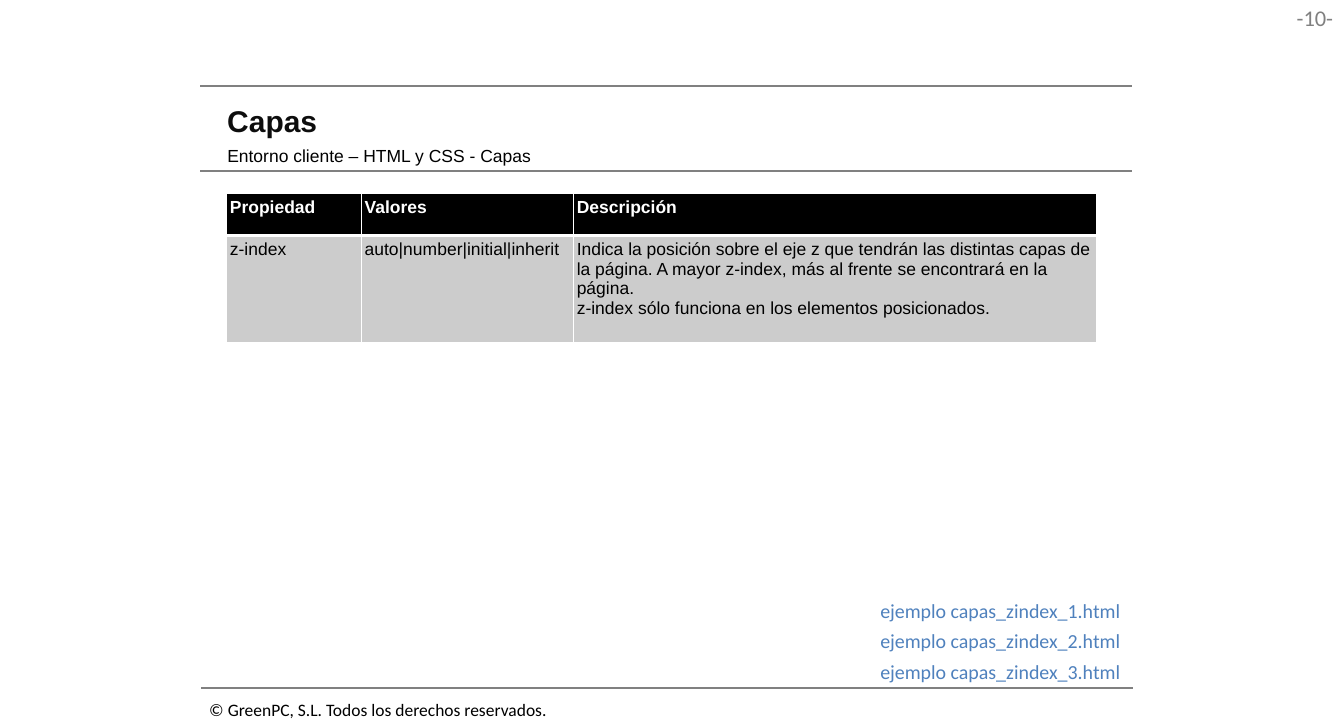
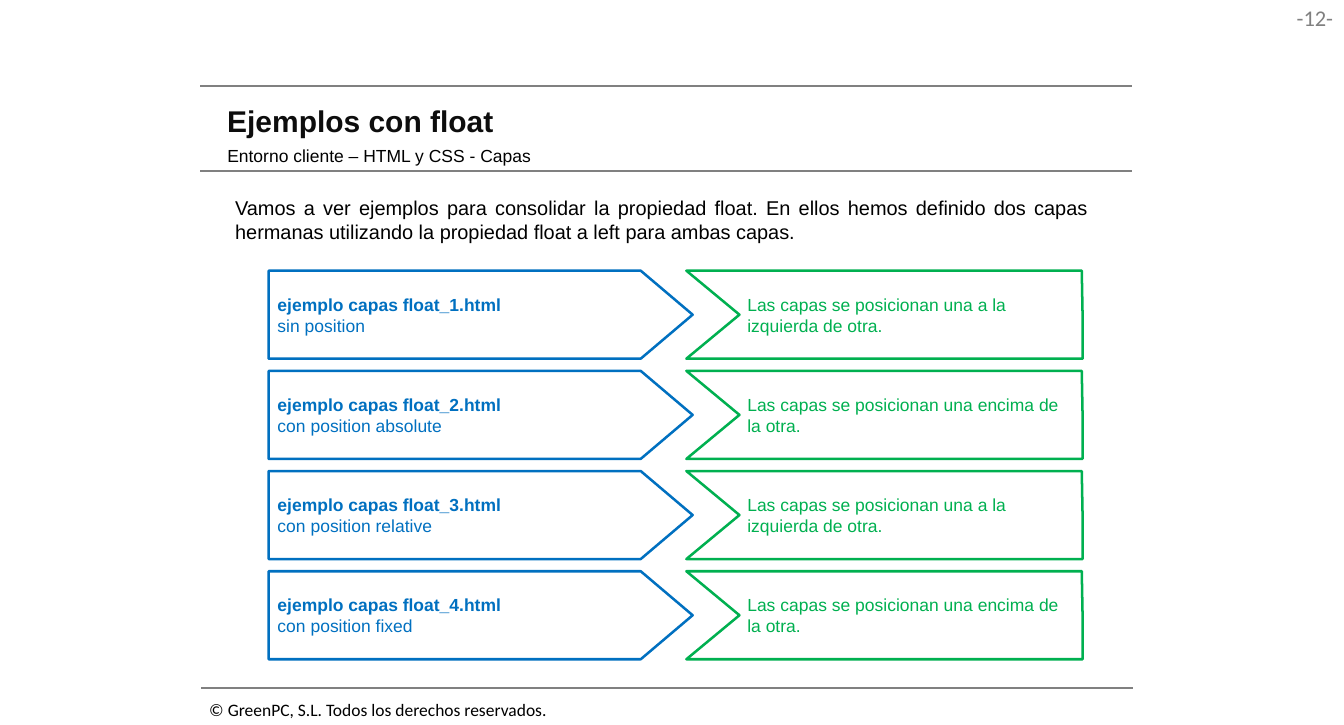
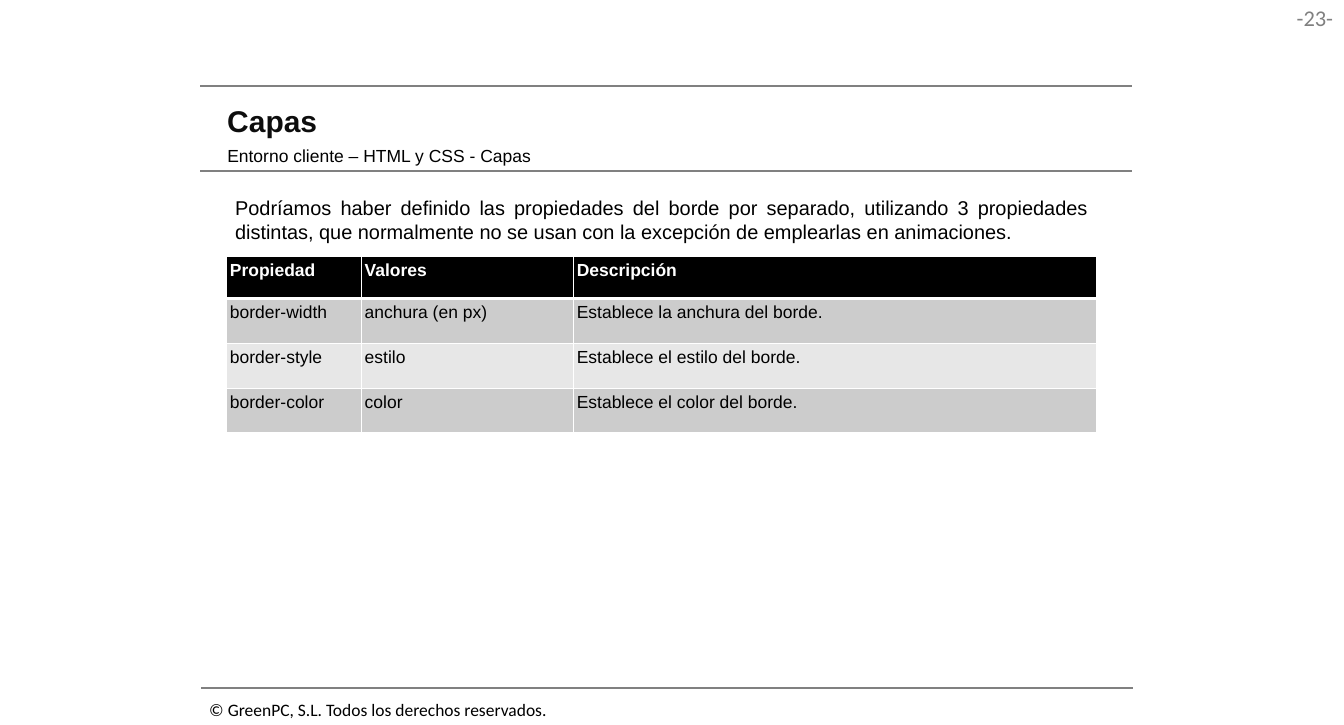
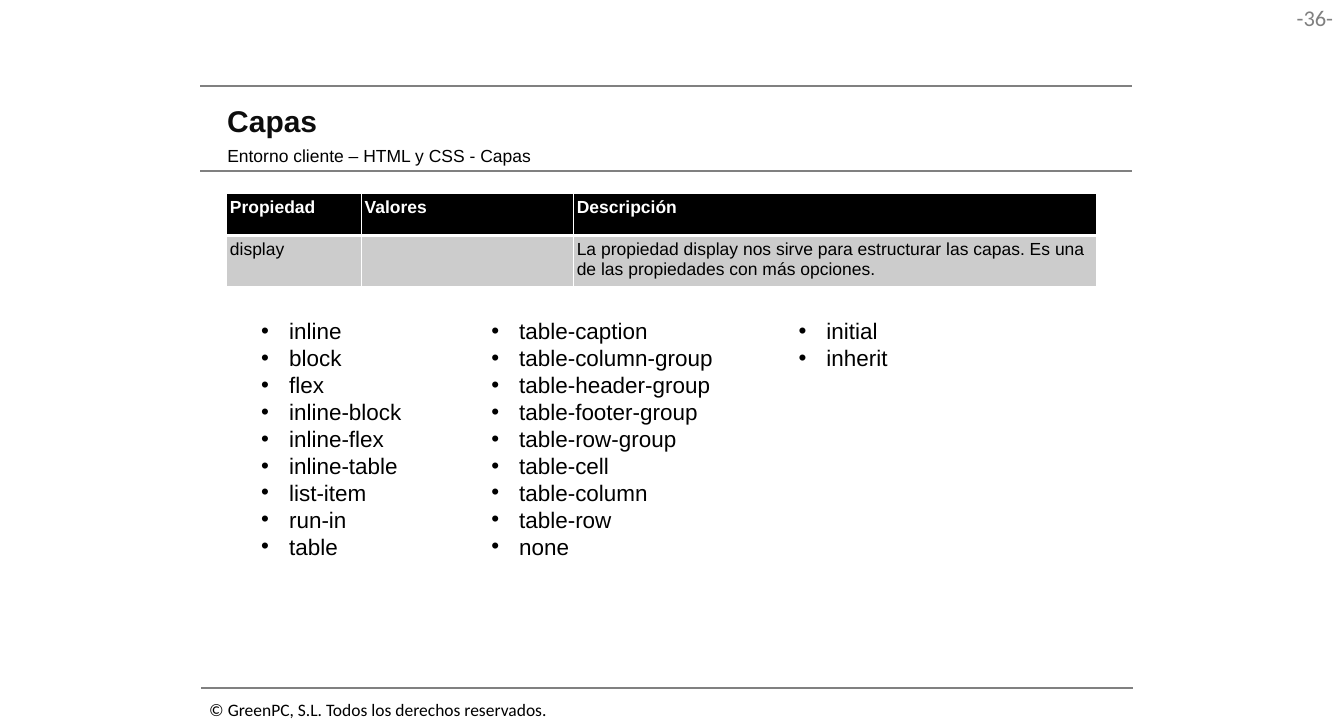
from lxml.etree import SubElement
from pptx import Presentation
from pptx.dml.color import RGBColor
from pptx.enum.shapes import MSO_CONNECTOR, MSO_SHAPE
from pptx.enum.text import MSO_ANCHOR, MSO_AUTO_SIZE, PP_ALIGN
from pptx.oxml import parse_xml
from pptx.oxml.ns import nsdecls, qn
from pptx.util import Emu, Inches, Pt

WIDTH, HEIGHT = Inches(14.96), Inches(8.07)
BLACK, WHITE, GRAY = "000000", "FFFFFF", "808080"
BLUE, GREEN, LINK_BLUE = "0070C0", "00B050", "4F81BD"
BAND_FILLS = ("CCCCCC", "E7E7E7")

CONTENT_LEFT, CONTENT_WIDTH = 16.84, 64.77
TABLE_COLUMNS = (10.03, 15.78, 38.97)
HEADINGS = ("Propiedad", "Valores", "Descripción")
SUBTITLE = "Entorno cliente – HTML y CSS - Capas"
COPYRIGHT = "© GreenPC, S.L. Todos los derechos reservados."

FORMATS = {
    "title": {"name": "Arial", "size": Pt(24), "bold": True},
    "intro": {"name": "Arial", "size": Pt(16)},
    "list": {"name": "Arial", "size": Pt(18)},
    "small": {"name": "Arial", "size": Pt(14), "bold": False},
    "strong": {"name": "Arial", "size": Pt(14), "bold": True},
    "number": {"name": "Calibri", "size": Pt(18)},
    "link": {"name": "Calibri", "size": Pt(16)},
    "footer": {"name": "Calibri", "size": Pt(14)},
}
HEADER_INSETS = (0.13, 0.07)
CELL_INSETS = (0.04, 0.05)


def color(value):
    return RGBColor.from_string(value)


def across(columns):
    """Length of columns on a grid of 100 across the slide."""
    return Emu(round(WIDTH * columns / 100))


def down(rows):
    """Length of rows on a grid of 100 down the slide."""
    return Emu(round(HEIGHT * rows / 100))


def place(left, top, width, height):
    return across(left), down(top), across(width), down(height)


class Deck:
    """Holds the presentation, its style and the current page."""

    def __init__(self):
        self.deck = Presentation()
        self.deck.slide_width, self.deck.slide_height = WIDTH, HEIGHT
        self.page = None

    def start(self, number, title):
        """Add a page with its rules, header and footer."""
        self.page = self.deck.slides.add_slide(self.deck.slide_layouts[6])
        for left, top in ((14.91, 11.9), (14.91, 23.54), (14.97, 94.92)):
            self.rule(left, top, 69.32)
        self.text((94.45, 0, 5.48, 5.08), [f"-{number}-"], "number", GRAY,
                  align=PP_ALIGN.RIGHT, insets=(0.11, 0.05), wrap=False)
        self.text((14.91, 95.79, 26.67, 4.21), [COPYRIGHT], "footer", wrap=False)
        self.text((16.04, 13.26, 67.65, 6.69), [title], "title", "0D0D0D",
                  insets=HEADER_INSETS, anchor=MSO_ANCHOR.MIDDLE)
        self.text((16.04, 19.21, 50.8, 4.58), [SUBTITLE], "small",
                  insets=HEADER_INSETS, anchor=MSO_ANCHOR.MIDDLE)

    def rule(self, left, top, width):
        line = self.page.shapes.add_connector(
            MSO_CONNECTOR.STRAIGHT, across(left), down(top), across(left + width), down(top))
        line.line.color.rgb = color(GRAY)
        line.line.width = Pt(1.5)
        SubElement(line._element.spPr, qn("a:effectLst"))

    def span(self, para, text, style, ink):
        span = para.add_run()
        span.text = text
        for name, value in FORMATS[style].items():
            setattr(span.font, name, value)
        span.font.color.rgb = color(ink)

    def fill_text(self, frame, lines, style, ink=BLACK, align=PP_ALIGN.LEFT,
                  indent=0, bullet=False):
        """Fill a frame; a line is a string or a (string, style) pair."""
        for index, line in enumerate(lines):
            text, line_style = (line, style) if isinstance(line, str) else line
            para = frame.add_paragraph() if index else frame.paragraphs[0]
            para.alignment = align
            if indent:
                properties = para._p.get_or_add_pPr()
                properties.set("marL", str(Inches(indent)))
                properties.set("indent", str(-Inches(indent) if bullet else 0))
                if bullet:
                    SubElement(properties, qn("a:buFont"), typeface="Arial")
                    SubElement(properties, qn("a:buChar"), char="•")
            if text:
                self.span(para, text, line_style, ink)

    def text(self, area, lines, style, ink=BLACK, insets=(0.1, 0.05),
             anchor=MSO_ANCHOR.TOP, wrap=True, **paragraph):
        frame = self.page.shapes.add_textbox(*place(*area)).text_frame
        frame.word_wrap = wrap
        frame.auto_size = MSO_AUTO_SIZE.SHAPE_TO_FIT_TEXT
        frame.vertical_anchor = anchor
        frame.margin_left = frame.margin_right = Inches(insets[0])
        frame.margin_top = frame.margin_bottom = Inches(insets[1])
        self.fill_text(frame, lines, style, ink, **paragraph)

    def intro(self, text):
        self.text((CONTENT_LEFT, 26.39, CONTENT_WIDTH, 7.93), [text], "intro",
                  align=PP_ALIGN.JUSTIFY)

    def bullets(self, left, width, items):
        self.text((left, 43.12, width, 1.28 + 3.75 * len(items)), items, "list",
                  indent=0.31, bullet=True)

    def outline(self, shape, ink, lines, **paragraph):
        """Give a shape a coloured outline and text of the same colour."""
        shape.shadow.inherit = False
        shape.fill.background()
        shape.line.color.rgb = color(ink)
        shape.line.width = Pt(2)
        shape.text_frame.word_wrap = True
        shape.text_frame.vertical_anchor = MSO_ANCHOR.MIDDLE
        self.fill_text(shape.text_frame, lines, "small", ink, **paragraph)

    def arrow(self, area, lines):
        shape = self.page.shapes.add_shape(MSO_SHAPE.PENTAGON, *place(*area))
        shape.adjustments[0] = 0.59
        self.outline(shape, BLUE, lines)

    def notched_box(self, area, lines):
        left, top, width, height = place(*area)
        corners = ((0, 0), (0.998, 0), (1, 0.5), (1, 1), (0, 1), (0.134, 0.5))
        points = [(round(left + x * width), round(top + y * height)) for x, y in corners]
        builder = self.page.shapes.build_freeform(*points[0], scale=1.0)
        builder.add_line_segments(points[1:], close=True)
        self.outline(builder.convert_to_shape(), GREEN, lines, indent=0.58)

    def cell(self, cell, lines, style, ink, fill, bottom):
        cell.fill.solid()
        cell.fill.fore_color.rgb = color(fill)
        cell.margin_left = cell.margin_right = Inches(CELL_INSETS[0])
        cell.margin_top = cell.margin_bottom = Inches(CELL_INSETS[1])
        self.fill_text(cell.text_frame, lines, style, ink)
        properties = cell._tc.get_or_add_tcPr()
        widths = {"lnL": 1, "lnR": 1, "lnT": 1, "lnB": bottom}
        for index, (side, width) in enumerate(widths.items()):
            properties.insert(index, parse_xml(
                f'<a:{side} {nsdecls("a")} w="{Pt(width)}"><a:solidFill>'
                f'<a:srgbClr val="{WHITE}"/></a:solidFill></a:{side}>'))

    def table(self, top, row_heights, rows):
        """Draw a property table; the first height is that of the heading."""
        area = place(CONTENT_LEFT, top, CONTENT_WIDTH, sum(row_heights))
        table = self.page.shapes.add_table(
            len(row_heights), len(TABLE_COLUMNS), *area).table
        table.horz_banding = False
        for column, width in zip(table.columns, TABLE_COLUMNS):
            column.width = across(width)
        for row, height in zip(table.rows, row_heights):
            row.height = down(height)
        for column, heading in enumerate(HEADINGS):
            self.cell(table.cell(0, column), [heading], "strong", WHITE, BLACK, 3)
        for index, row in enumerate(rows):
            fill = BAND_FILLS[index % 2]
            for column, value in enumerate(row):
                self.cell(table.cell(index + 1, column), value.split("\n"),
                          "small", BLACK, fill, 1)


def z_index_page(deck):
    deck.start(10, "Capas")
    deck.table(26.64, (5.82, 14.75), [(
        "z-index", "auto|number|initial|inherit",
        "Indica la posición sobre el eje z que tendrán las distintas capas de la página. "
        "A mayor z-index, más al frente se encontrará en la página.\n"
        "z-index sólo funciona en los elementos posicionados.")])
    for index in range(3):
        deck.text((64.84, 81.91 + 4.21 * index, 19.39, 4.58),
                  [f"ejemplo capas_zindex_{index + 1}.html"], "link", LINK_BLUE, wrap=False)


def float_page(deck):
    deck.start(12, "Ejemplos con float")
    deck.intro("Vamos a ver ejemplos para consolidar la propiedad float. En ellos hemos definido "
               "dos capas hermanas utilizando la propiedad float a left para ambas capas.")
    side = "Las capas se posicionan una a la izquierda de otra."
    above = "Las capas se posicionan una encima de la otra."
    examples = (("sin position", side), ("con position absolute", above),
                ("con position relative", side), ("con position fixed", above))
    for index, (position, result) in enumerate(examples):
        top, height = 37.34 + 13.82 * index, 12.14
        name = f"ejemplo capas float_{index + 1}.html"
        deck.arrow((19.99, top, 31.55, height), [(name, "strong"), position])
        deck.notched_box((51.07, top, 29.48, height), [result])


def border_page(deck):
    deck.start(23, "Capas")
    deck.table(35.32, (5.82, 6.2, 6.2, 6.2), [
        ("border-width", "anchura (en px)", "Establece la anchura del borde."),
        ("border-style", "estilo", "Establece el estilo del borde."),
        ("border-color", "color", "Establece el color del borde.")])
    deck.intro("Podríamos haber definido las propiedades del borde por separado, utilizando 3 "
               "propiedades distintas, que normalmente no se usan con la excepción de emplearlas "
               "en animaciones.")


def display_page(deck):
    deck.start(36, "Capas")
    deck.table(26.64, (5.82, 6.57), [(
        "display", "", "La propiedad display nos sirve para estructurar las capas. "
        "Es una de las propiedades con más opciones.")])
    deck.bullets(18.78, 16.04, ["inline", "block", "flex", "inline-block", "inline-flex",
                                "inline-table", "list-item", "run-in", "table"])
    deck.bullets(35.9, 21.86, ["table-caption", "table-column-group", "table-header-group",
                               "table-footer-group", "table-row-group", "table-cell",
                               "table-column", "table-row", "none"])
    deck.bullets(58.76, 22.66, ["initial", "inherit"])


def main():
    deck = Deck()
    for build_page in (z_index_page, float_page, border_page, display_page):
        build_page(deck)
    deck.deck.save("out.pptx")


if __name__ == "__main__":
    main()
